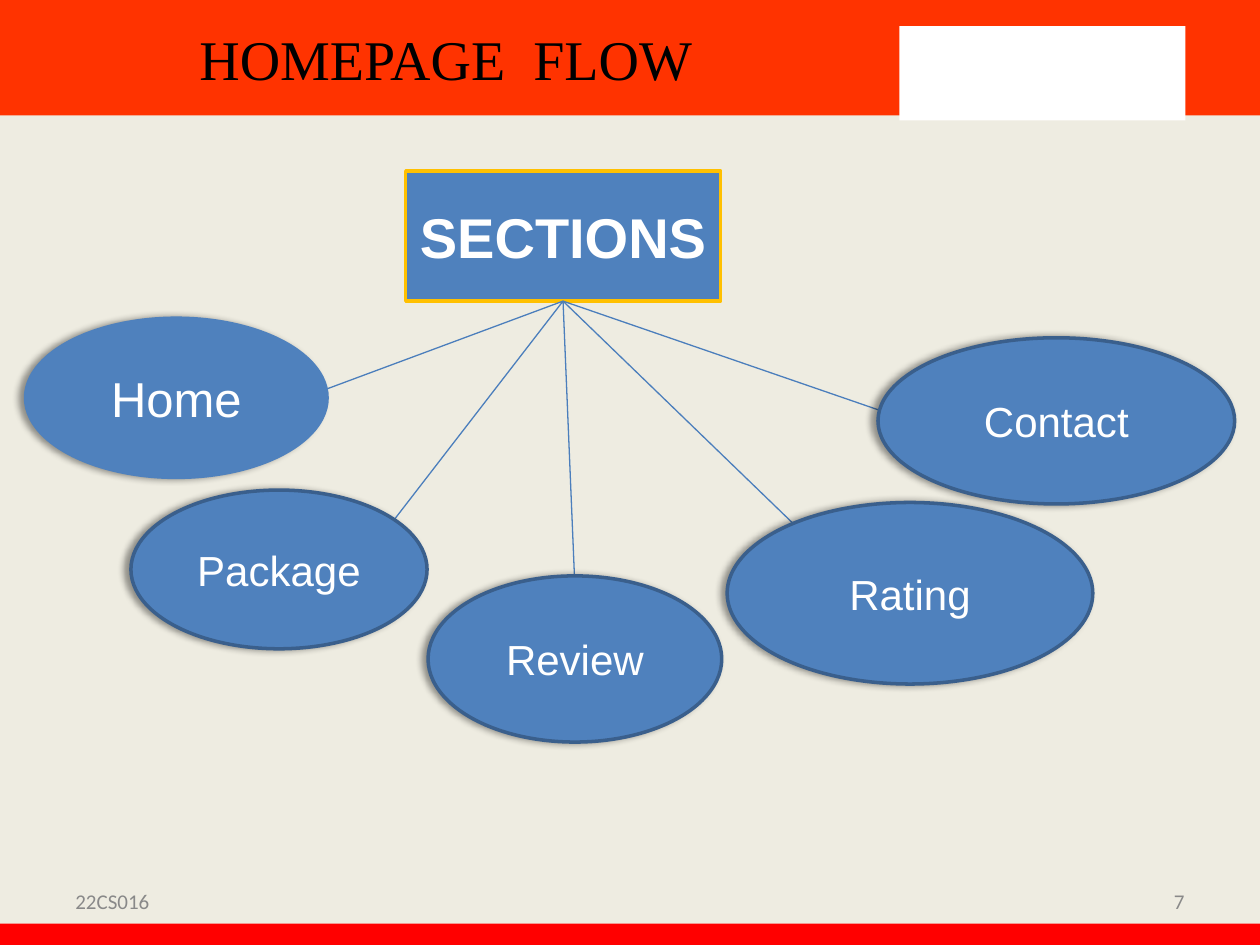
"""Build the homepage flow slide: one sections box linked to five ovals."""
from lxml.etree import SubElement
from pptx import Presentation
from pptx.dml.color import RGBColor
from pptx.enum.shapes import MSO_CONNECTOR, MSO_SHAPE
from pptx.enum.text import MSO_ANCHOR, PP_ALIGN
from pptx.oxml.ns import qn
from pptx.util import Cm, Pt

CREAM = RGBColor(0xEE, 0xEC, 0xE1)
ORANGE = RGBColor(0xFF, 0x33, 0x00)
RED = RGBColor(0xFF, 0x00, 0x00)
WHITE = RGBColor(0xFF, 0xFF, 0xFF)
BLACK = RGBColor(0x00, 0x00, 0x00)
GRAY = RGBColor(0x89, 0x89, 0x89)
BLUE = RGBColor(0x4F, 0x81, 0xBD)
NAVY = RGBColor(0x3A, 0x5F, 0x8C)
LINK_BLUE = RGBColor(0x4B, 0x7E, 0xBC)
GOLD = RGBColor(0xFF, 0xC0, 0x00)


def add_block(page, kind, place, fill, outline=None):
    block = page.shapes.add_shape(kind, *map(Cm, place))
    block.shadow.inherit = False
    block.fill.solid()
    block.fill.fore_color.rgb = fill
    if outline is None:
        block.line.fill.background()
    else:
        block.line.color.rgb = outline
        block.line.width = Pt(2)
    return block


def write(box, text, color, align, font_format):
    frame = box.text_frame
    frame.word_wrap = True
    frame.vertical_anchor = MSO_ANCHOR.MIDDLE
    para = frame.paragraphs[0]
    para.alignment = align
    span = para.add_run()
    span.text = text
    span.font.color.rgb = color
    for name, value in font_format.items():
        setattr(span.font, name, value)


deck = Presentation()
deck.slide_width, deck.slide_height = Cm(25.4), Cm(19.05)
page = deck.slides.add_slide(deck.slide_layouts[6])
page.background.fill.solid()
page.background.fill.fore_color.rgb = CREAM

for place, fill in [
    ((0, 0, 25.4, 2.33), ORANGE),
    ((0, 18.62, 25.4, 0.43), RED),
    ((18.13, 0.53, 5.77, 1.9), WHITE),
]:
    add_block(page, MSO_SHAPE.RECTANGLE, place, fill)

title_format = {"name": "Times New Roman", "size": Pt(32)}
footer_format = {"name": "Calibri", "size": Pt(12)}
for place, text, color, align, font_format in [
    ((0, 0, 17.98, 2.33), "HOMEPAGE  FLOW", BLACK, PP_ALIGN.CENTER, title_format),
    ((1.27, 17.65, 5.92, 1.02), "22CS016", GRAY, PP_ALIGN.LEFT, footer_format),
    ((18.21, 17.65, 5.92, 1.02), "7", GRAY, PP_ALIGN.RIGHT, footer_format),
]:
    box = page.shapes.add_textbox(*map(Cm, place))
    write(box, text, color, align, font_format)

sections = add_block(page, MSO_SHAPE.RECTANGLE, (8.18, 3.45, 6.35, 2.62), BLUE, GOLD)
write(sections, "SECTIONS", WHITE, PP_ALIGN.CENTER,
      {"name": "Arial", "size": Pt(32), "bold": True})

ovals = [
    ("Home", 28, (0.48, 6.38, 6.15, 3.28), None, (5.89, 8.1)),
    ("Package", 24, (2.64, 9.88, 5.97, 3.2), NAVY, (7.82, 10.64)),
    ("Review", 24, (8.63, 11.61, 5.92, 3.35), NAVY, (11.58, 11.61)),
    ("Rating", 24, (14.66, 10.13, 7.37, 3.66), NAVY, (16.08, 10.64)),
    ("Contact", 24, (17.7, 6.81, 7.19, 3.35), NAVY, (17.7, 8.26)),
]
for label, size, place, outline, end in ovals:
    link = page.shapes.add_connector(
        MSO_CONNECTOR.STRAIGHT, Cm(11.35), Cm(6.07), *map(Cm, end))
    link.line.color.rgb = LINK_BLUE
    link.line.width = Pt(0.75)
    SubElement(link._element.spPr, qn("a:effectLst"))

for label, size, place, outline, end in ovals:
    oval = add_block(page, MSO_SHAPE.OVAL, place, BLUE, outline)
    effects = oval._element.spPr.find(qn("a:effectLst"))
    shadow = SubElement(effects, qn("a:outerShdw"), blurRad=str(Pt(4)),
                        dist=str(Pt(3)), dir="10800000", rotWithShape="0")
    shade = SubElement(shadow, qn("a:srgbClr"), val=str(BLACK))
    SubElement(shade, qn("a:alpha"), val="40000")
    write(oval, label, WHITE, PP_ALIGN.CENTER, {"name": "Arial", "size": Pt(size)})

deck.save("out.pptx")
